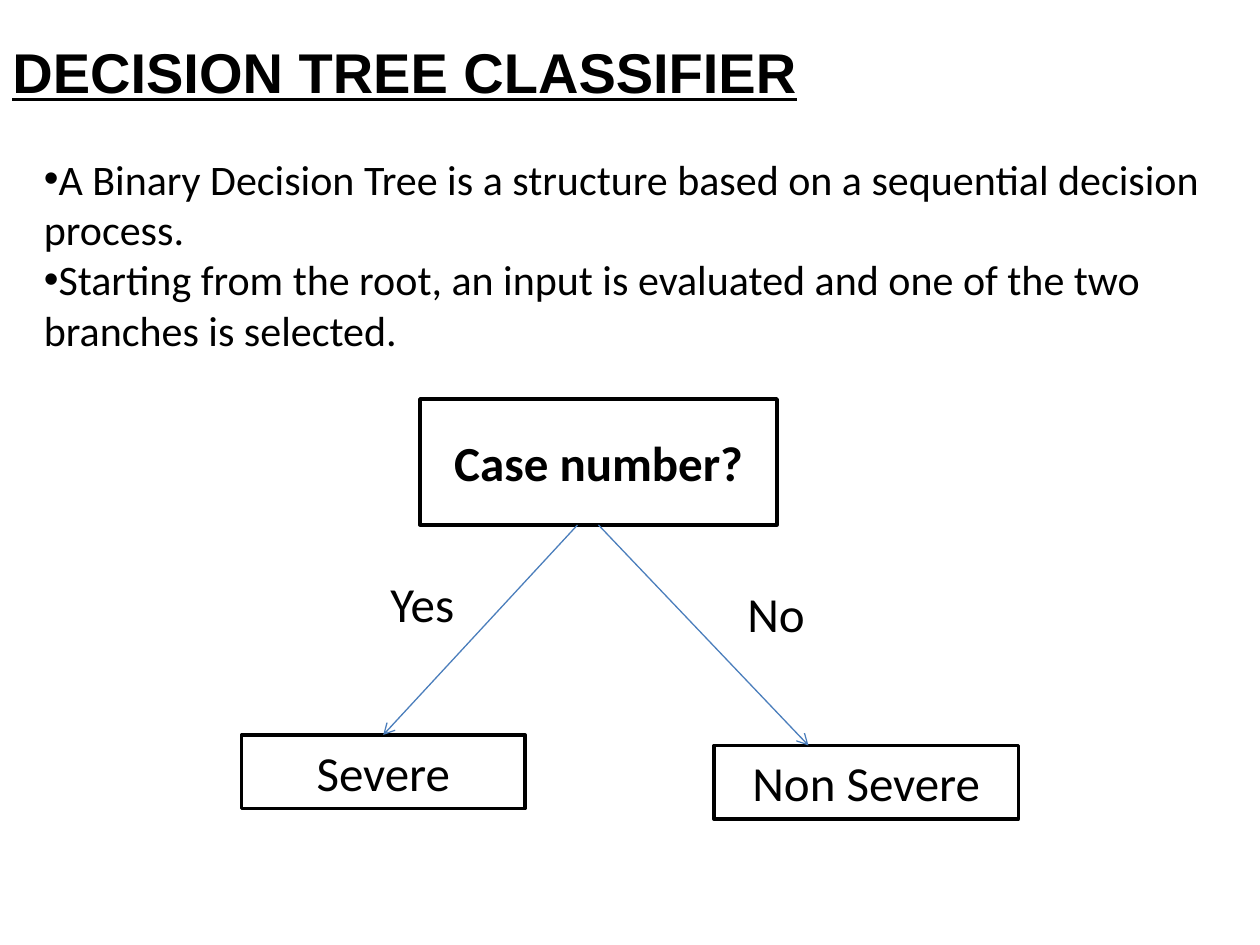
import pptx
import pptx.dml.color
import pptx.enum.shapes
import pptx.enum.text
import pptx.oxml
import pptx.oxml.ns
import pptx.util

BLACK = pptx.dml.color.RGBColor(0x00, 0x00, 0x00)
WHITE = pptx.dml.color.RGBColor(0xFF, 0xFF, 0xFF)
BLUE = pptx.dml.color.RGBColor(0x4B, 0x7E, 0xBC)
ALIGN = pptx.enum.text.PP_ALIGN
CELLS_PER_INCH = 12  # grid of 120 columns by 90 rows


def cells(*counts):
    return [pptx.util.Inches(count / CELLS_PER_INCH) for count in counts]


def add_run(paragraph, text, size, name="Calibri", bold=False, underline=False):
    run = paragraph.add_run()
    run.text = text
    run.font.size = pptx.util.Pt(size)
    run.font.name = name
    run.font.bold = bold
    run.font.underline = underline
    run.font.color.rgb = BLACK


def add_text_frame(slide, box):
    frame = slide.shapes.add_textbox(*cells(*box)).text_frame
    frame.word_wrap = True
    return frame


def add_title(slide, box, text):
    paragraph = add_text_frame(slide, box).paragraphs[0]
    paragraph.alignment = ALIGN.JUSTIFY
    add_run(paragraph, text, 32, "Arial", bold=True, underline=True)


def add_bullets(slide, box, points):
    frame = add_text_frame(slide, box)
    for index, point in enumerate(points):
        paragraph = frame.add_paragraph() if index else frame.paragraphs[0]
        properties = paragraph._p.get_or_add_pPr()
        for tag, attribute, value in (("buFont", "typeface", "Arial"), ("buChar", "char", "•")):
            bullet = pptx.oxml.parse_xml(
                f'<a:{tag} {pptx.oxml.ns.nsdecls("a")} {attribute}="{value}"/>')
            properties.append(bullet)
        add_run(paragraph, point, 24)


def add_node(slide, box, text, bold=False):
    node = slide.shapes.add_shape(pptx.enum.shapes.MSO_SHAPE.RECTANGLE, *cells(*box))
    node.shadow.inherit = False
    node.fill.solid()
    node.fill.fore_color.rgb = WHITE
    node.line.color.rgb = BLACK
    node.line.width = pptx.util.Pt(2)
    frame = node.text_frame
    frame.word_wrap = True
    frame.vertical_anchor = pptx.enum.text.MSO_ANCHOR.MIDDLE
    frame.paragraphs[0].alignment = ALIGN.CENTER
    add_run(frame.paragraphs[0], text, 28, bold=bold)


def add_arrow(slide, start, end):
    arrow = slide.shapes.add_connector(
        pptx.enum.shapes.MSO_CONNECTOR.STRAIGHT, *cells(*start, *end))
    arrow.line.color.rgb = BLUE
    arrow.line.width = pptx.util.Pt(0.75)
    namespace = pptx.oxml.ns.nsdecls("a")
    arrow.line._get_or_add_ln().append(
        pptx.oxml.parse_xml(f'<a:tailEnd {namespace} type="arrow"/>'))
    arrow._element.spPr.append(pptx.oxml.parse_xml(f"<a:effectLst {namespace}/>"))


def add_tree(slide, box):
    """Place the question, its two outcomes and the labelled branches in the box."""
    left, top, width, height = box

    def within(column, row, *size):
        return (left + column, top + row, *size)

    root_height, leaf_height = 12, 7
    leaf_tops = (height - leaf_height - 1, height - leaf_height)
    add_node(slide, within(17, 0, 34, root_height), "Case number?", bold=True)
    add_node(slide, within(0, leaf_tops[0], 27, leaf_height), "Severe")
    add_node(slide, within(width - 29, leaf_tops[1], 29, leaf_height), "Non Severe")

    add_arrow(slide, within(34, root_height), within(54, leaf_tops[1]))
    add_arrow(slide, within(32, root_height), within(13.5, leaf_tops[0]))
    for text, column, row, columns in (("Yes", 13, 16, 9), ("No", 47, 17, 8)):
        frame = add_text_frame(slide, within(column, row, columns, leaf_height))
        add_run(frame.paragraphs[0], text, 28)


def main():
    presentation = pptx.Presentation()
    presentation.slide_width, presentation.slide_height = cells(120, 90)
    slide = presentation.slides.add_slide(presentation.slide_layouts[6])
    add_title(slide, (0, 3, 92, 7.7), "DECISION TREE CLASSIFIER")
    add_bullets(slide, (3, 14, 117, 20.6), (
        "A Binary Decision Tree is a structure based on a sequential decision process.",
        "Starting from the root, an input is evaluated and one of the two branches is selected.",
    ))
    add_tree(slide, (23, 38, 74, 40))
    presentation.save("out.pptx")


if __name__ == "__main__":
    main()
